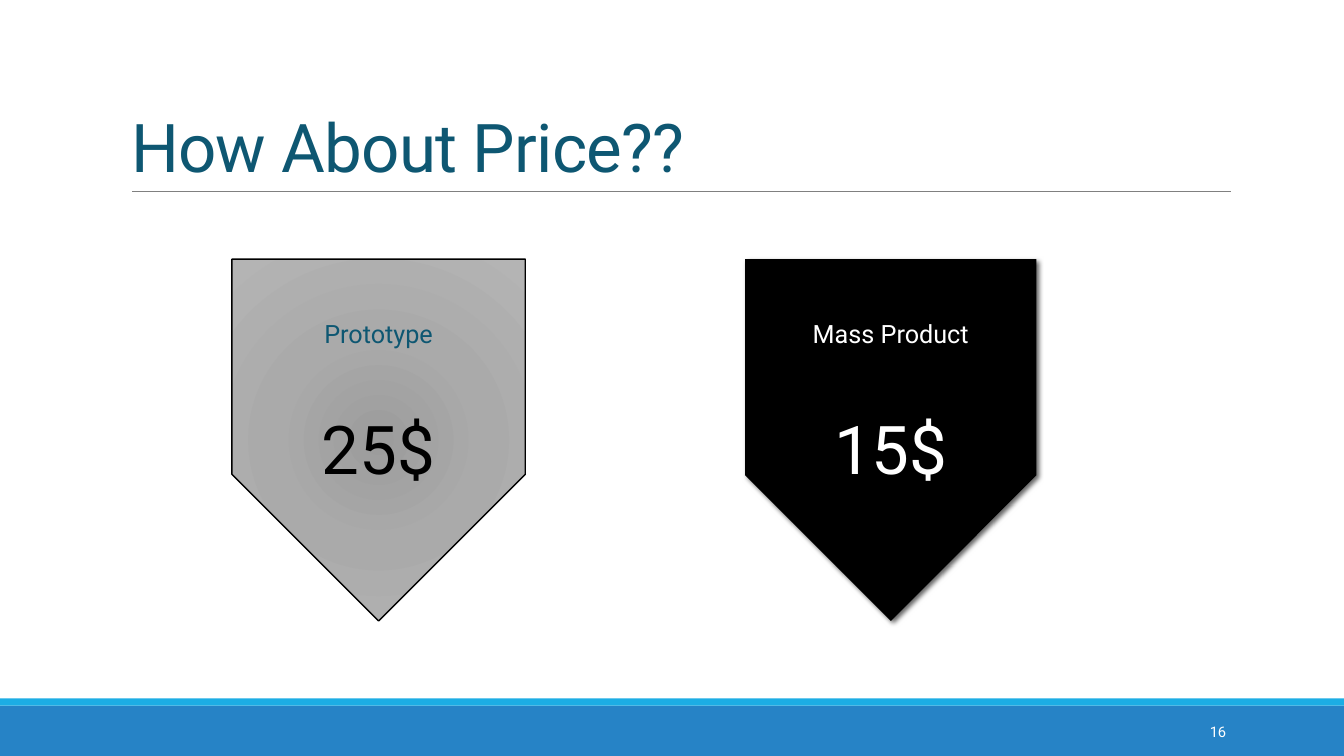
from dataclasses import dataclass

import lxml.etree
import pptx
import pptx.dml.color
import pptx.enum.shapes
import pptx.enum.text
import pptx.oxml
import pptx.oxml.ns
import pptx.util

Inches = pptx.util.Inches
Pt = pptx.util.Pt
SHAPE = pptx.enum.shapes.MSO_SHAPE
ALIGN = pptx.enum.text.PP_ALIGN
ANCHOR = pptx.enum.text.MSO_ANCHOR
qn = pptx.oxml.ns.qn


@dataclass(frozen=True)
class Theme:
    font: str = "Roboto"
    teal: str = "0E5772"
    blue: str = "2683C6"
    sky: str = "1CADE4"
    rule: str = "808080"
    black: str = "000000"
    white: str = "FFFFFF"
    grays: tuple = ((0, "9C9C9C"), (45, "AAAAAA"), (100, "B4B4B4"))
    big: float = 48
    label: float = 18
    number: float = 10.5


T = Theme()


def rgb(color):
    return pptx.dml.color.RGBColor.from_string(color)


def add_xml(parent, tag, **attrs):
    return lxml.etree.SubElement(parent, qn(tag), {k: str(v) for k, v in attrs.items()})


def write(p, text, size, color, align=ALIGN.LEFT, before=0, spacing=None, tracking=None):
    p.alignment = align
    p.space_before = Pt(before)
    if spacing:
        p.line_spacing = spacing
    r = p.add_run()
    r.text = text
    r.font.name, r.font.size = T.font, Pt(size)
    r.font.color.rgb = rgb(color)
    if tracking:
        r.font._element.set("spc", str(int(tracking * 100)))


def add_bar(s, x, y, w, h, color):
    sp = s.shapes.add_shape(SHAPE.RECTANGLE, Inches(x), Inches(y), Inches(w), Inches(h))
    sp.shadow.inherit = False
    sp.fill.solid()
    sp.fill.fore_color.rgb = rgb(color)
    sp.line.fill.background()


def add_footer(s, x, y, w, h, number):
    stripe = 0.07
    add_bar(s, x, y + stripe, w, h - stripe, T.blue)
    add_bar(s, x, y, w, stripe, T.sky)
    # Page number
    box = s.shapes.add_textbox(Inches(x + w - 2.5), Inches(y + 0.13), Inches(1.43), Inches(0.4))
    tf = box.text_frame
    tf.word_wrap = True
    tf.vertical_anchor = ANCHOR.MIDDLE
    write(tf.paragraphs[0], number, T.number, T.white, ALIGN.RIGHT)


def add_title(s, x, y, w, h, text):
    title = s.shapes.title
    title.left, title.top, title.width, title.height = map(Inches, (x, y, w, h))
    tf = title.text_frame
    tf.word_wrap = True
    tf.auto_size = pptx.enum.text.MSO_AUTO_SIZE.NONE
    tf.vertical_anchor = ANCHOR.BOTTOM
    write(tf.paragraphs[0], text, T.big, T.teal, spacing=0.85, tracking=-0.5)
    # Rule under the title
    rule = s.shapes.add_connector(
        pptx.enum.shapes.MSO_CONNECTOR.STRAIGHT,
        Inches(x + 0.11), Inches(y + h), Inches(x + w + 0.01), Inches(y + h))
    rule.line.color.rgb = rgb(T.rule)
    rule.line.width = Pt(0.5)
    add_xml(rule._element.spPr, "a:effectLst")


def fill_radial(sp, stops):
    sp.fill.background()
    grad = pptx.oxml.parse_xml(f'<a:gradFill {pptx.oxml.ns.nsdecls("a")} rotWithShape="1"/>')
    gs_list = add_xml(grad, "a:gsLst")
    for pos, color in stops:
        add_xml(add_xml(gs_list, "a:gs", pos=pos * 1000), "a:srgbClr", val=color)
    circle = add_xml(grad, "a:path", path="circle")
    add_xml(circle, "a:fillToRect", l=100000, t=100000, r=100000, b=100000)
    spPr = sp._element.spPr
    spPr.replace(spPr.find(qn("a:noFill")), grad)


def add_drop_shadow(sp):
    effects = sp._element.spPr.find(qn("a:effectLst"))
    shadow = add_xml(effects, "a:outerShdw", blurRad=Pt(3.5), dist=Pt(2),
                     dir=45 * 60000, algn="ctr", rotWithShape=0)
    add_xml(add_xml(shadow, "a:srgbClr", val=T.black), "a:alpha", val=60000)


def add_price_tag(s, x, y, w, h, label, price, label_color, price_color, outlined):
    # The pentagon lies on its side, so its frame is h by w about the same centre
    sp = s.shapes.add_shape(SHAPE.PENTAGON, Inches(x + (w - h) / 2), Inches(y + (h - w) / 2),
                            Inches(h), Inches(w))
    sp.rotation = 90
    sp.shadow.inherit = False
    if outlined:
        fill_radial(sp, T.grays)
        sp.line.color.rgb = rgb(T.black)
        sp.line.width = Pt(1)
    else:
        sp.fill.solid()
        sp.fill.fore_color.rgb = rgb(T.black)
        sp.line.fill.background()
        add_drop_shadow(sp)
    tf = sp.text_frame
    tf.word_wrap = True
    tf.vertical_anchor = ANCHOR.MIDDLE
    tf._txBody.bodyPr.set("vert", "vert270")
    write(tf.paragraphs[0], label, T.label, label_color, ALIGN.CENTER)
    write(tf.add_paragraph(), price, T.big, price_color, ALIGN.CENTER, before=42)


def main():
    prs = pptx.Presentation()
    prs.slide_width, prs.slide_height = Inches(13.33), Inches(7.5)
    s = prs.slides.add_slide(prs.slide_layouts[5])

    add_footer(s, 0, 6.93, 13.33, 0.57, "16")
    add_title(s, 1.2, 0.31, 11, 1.59, "How About Price??")

    # Price tags
    add_price_tag(s, 2.3, 2.57, 2.91, 3.59, "Prototype", "25$", T.teal, T.black, True)
    add_price_tag(s, 7.39, 2.57, 2.89, 3.59, "Mass Product", "15$", T.white, T.white, False)

    prs.save("out.pptx")


if __name__ == "__main__":
    main()
